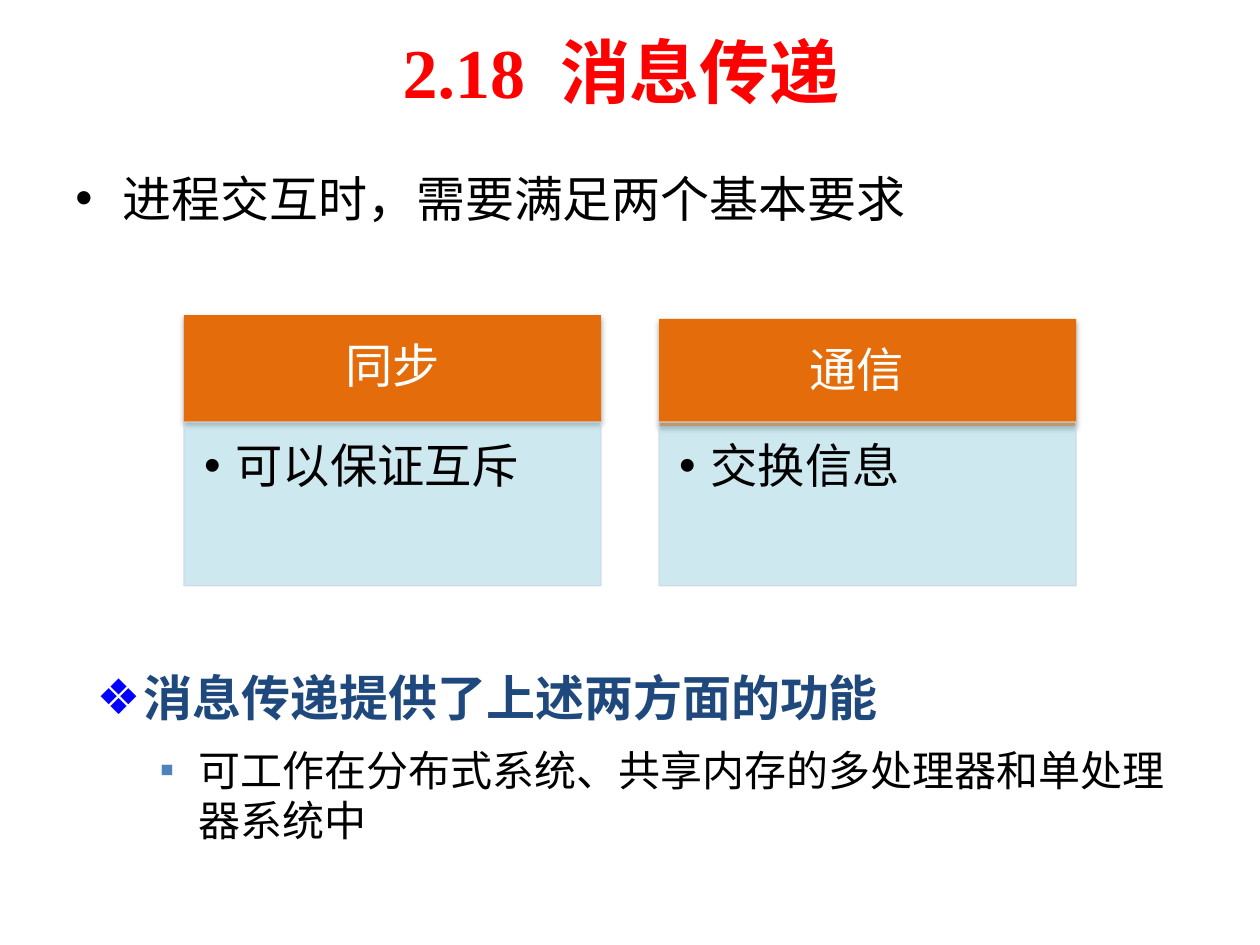
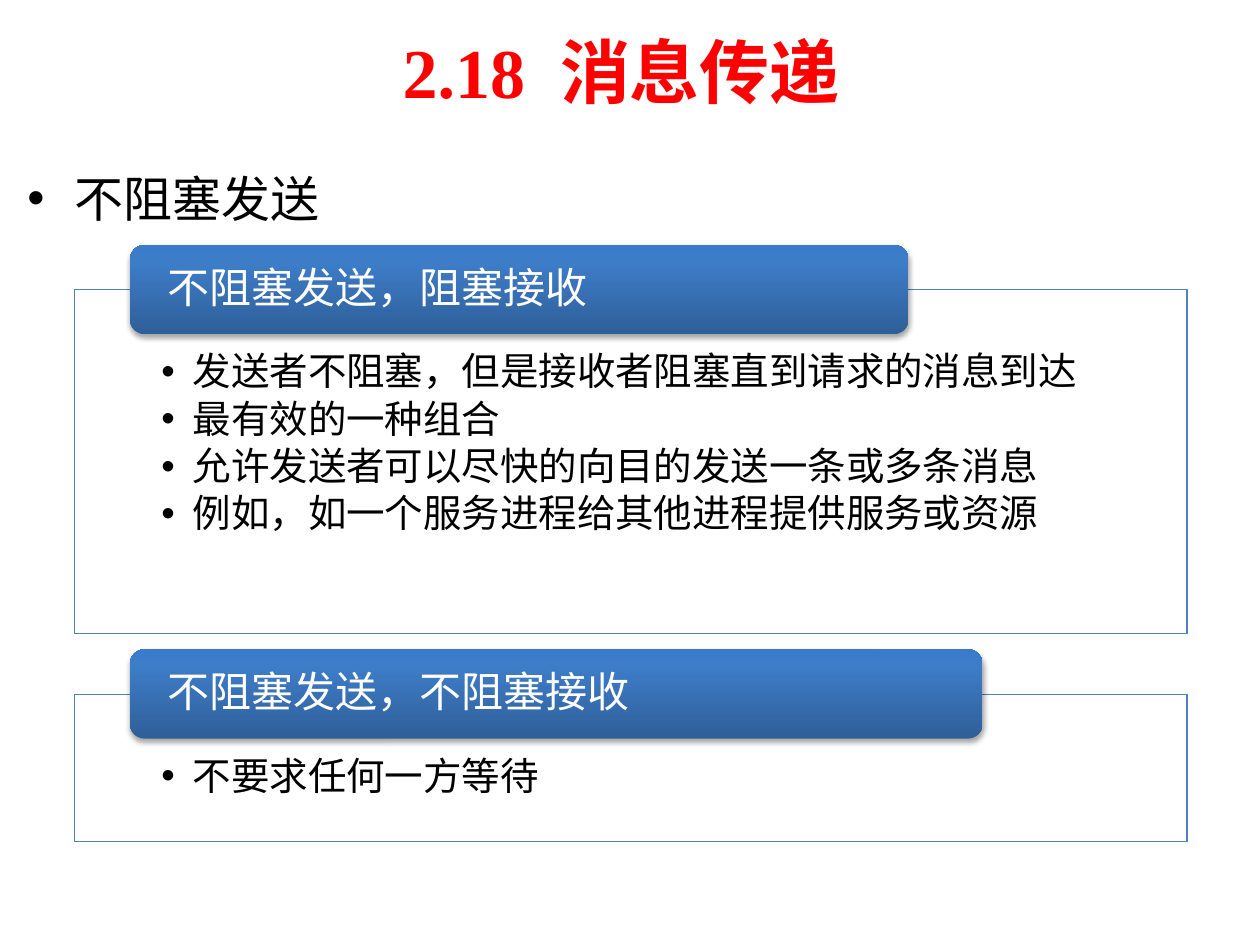
from dataclasses import dataclass
from lxml import etree
from pptx import Presentation
from pptx.dml.color import RGBColor
from pptx.enum import shapes, text
from pptx.oxml import ns
from pptx.util import Pt


@dataclass(frozen=True)
class Theme:
    """Colours, fonts and type sizes shared by the slides."""
    red: str = "FF0000"
    black: str = "000000"
    white: str = "FFFFFF"
    navy: str = "1F497D"
    mark: str = "0000FF"
    blue: str = "4F81BD"
    orange: str = "E46C0A"
    aqua: str = "93CDDD"
    edge: str = "D0D8E8"
    blend: tuple = ((0, "2F5F99"), (0.8, "3D7CC7"), (1, "3A7CCB"))
    serif: str = "Times New Roman"
    sans: str = "Calibri"
    plain: str = "Arial"
    title: int = 40
    lead: int = 28
    card: int = 27
    tab: int = 24
    item: int = 22


T = Theme()
TITLE = "2.18  消息传递"
RECT = shapes.MSO_SHAPE.RECTANGLE
ROUND = shapes.MSO_SHAPE.ROUNDED_RECTANGLE
MID = text.MSO_ANCHOR.MIDDLE
TOP = text.MSO_ANCHOR.TOP
LEFT = text.PP_ALIGN.LEFT
CENTER = text.PP_ALIGN.CENTER


def node(parent, tag, **attrs):
    """Append a DrawingML element and return it."""
    return etree.SubElement(parent, ns.qn("a:" + tag), attrs)


def fade(fill, share):
    """Make a solid fill partly transparent."""
    color = fill._xPr.find(".//" + ns.qn("a:srgbClr"))
    node(color, "alpha", val=str(share * 1000))


def shade(shape):
    """Give a shape the soft shadow that falls straight down."""
    shape.shadow.inherit = False
    effects = shape._element.spPr.find(ns.qn("a:effectLst"))
    drop = node(effects, "outerShdw", blurRad=str(Pt(3.1)), dist=str(Pt(1.8)),
                dir="5400000", rotWithShape="0")
    node(node(drop, "srgbClr", val=T.black), "alpha", val="35000")


def blend(shape):
    """Fill a shape with the upright blue gradient."""
    shape.fill.gradient()
    shape.fill.gradient_angle = 90
    stops = shape._element.spPr.find(".//" + ns.qn("a:gsLst"))
    stops.clear()
    for place, color in T.blend:
        stop = node(stops, "gs", pos=str(int(place * 100000)))
        node(stop, "srgbClr", val=color)


def form(slide, kind, box, fill=None, line=None):
    """Add a preset shape with a flat fill and a thin line."""
    shape = slide.shapes.add_shape(kind, *map(Pt, box))
    shape.shadow.inherit = False
    if fill:
        shape.fill.solid()
        shape.fill.fore_color.rgb = RGBColor.from_string(fill)
    if line:
        shape.line.color.rgb = RGBColor.from_string(line)
        shape.line.width = Pt(0.75)
    else:
        shape.line.fill.background()
    return shape


def frame(shape, inset=(7.2, 3.6, 7.2, 3.6), anchor=TOP):
    """Set the margins of a shape's text and return its frame."""
    body = shape.text_frame
    body.word_wrap = True
    body.vertical_anchor = anchor
    (body.margin_left, body.margin_top,
     body.margin_right, body.margin_bottom) = map(Pt, inset)
    return body


def label(slide, box, **opts):
    """Add a text box and return its frame."""
    return frame(slide.shapes.add_textbox(*map(Pt, box)), **opts)


def write(body, words, size, font, color, bold=False, align=LEFT, first=True,
          space=1, before=0, after=0, bullet=None, tint=None, indent=(0, 0)):
    """Write one paragraph, with a hanging bullet if one is named."""
    para = body.paragraphs[0] if first else body.add_paragraph()
    para.alignment = align
    para.line_spacing = space
    para.space_before = Pt(before)
    para.space_after = Pt(after)
    if bullet:
        props = para._p.get_or_add_pPr()
        left, hang = indent
        props.set("marL", str(Pt(left)))
        props.set("indent", str(Pt(-hang)))
        if tint:
            node(node(props, "buClr"), "srgbClr", val=tint)
        node(props, "buFont", typeface=T.plain)
        node(props, "buChar", char=bullet)
    run = para.add_run()
    run.text = words
    run.font.size = Pt(size)
    run.font.name = font
    run.font.bold = bold
    run.font.color.rgb = RGBColor.from_string(color)


def items(body, lines, size):
    """Write a tight list of bulleted lines."""
    for index, words in enumerate(lines):
        write(body, words, size, T.sans, T.black, first=index == 0, space=0.9,
              after=size * 0.15, bullet="•", indent=(18, 18))


def head(deck, lead, left):
    """Add a slide with the red title and its leading bullet."""
    slide = deck.slides.add_slide(deck.slide_layouts[6])
    body = label(slide, (31, 3.6, 648, 73.4), anchor=MID)
    write(body, TITLE, T.title, T.serif, T.red, bold=True, align=CENTER)
    body = label(slide, (left, 84.2, 648, 60.5))
    write(body, lead, T.lead, T.serif, T.black, space=1.25, bullet="•",
          indent=(27, 27))
    return slide


def card(slide, box, name, line, drop=0, shift=0):
    """Draw an orange heading over a pale panel with one bullet."""
    left, top, width, height = box
    band = 61.2
    cap = form(slide, RECT, (left, top + drop, width, band), T.orange)
    shade(cap)
    body = frame(cap, (15.1, 8.6, 15.1 + shift, 8.6), MID)
    write(body, name, T.card, T.sans, T.white, align=CENTER, space=0.9)
    panel = form(slide, RECT, (left, top + band, width, height - band),
                 T.aqua, T.edge)
    fade(panel.fill, 46)
    fade(panel.line.fill, 90)
    items(frame(panel, (11.5, 11.5, 15.1, 17.3)), [line], T.card)


def group(slide, box, wide, name, lines):
    """Draw an outlined list with a blue tab across its top edge."""
    left, top, width, height = box
    panel = form(slide, RECT, box, T.white, T.blue)
    items(frame(panel, (49.7, 36, 49.7, 12.2)), lines, T.item)
    tab = form(slide, ROUND, (left + 31.7, top - 25.7, wide, 51.1))
    blend(tab)
    shade(tab)
    body = frame(tab, (19.2, 2.5, 19.2, 2.5), MID)
    write(body, name, T.tab, T.sans, T.white, space=0.9)


def needs(deck):
    """Build the slide on the two basic requirements."""
    slide = head(deck, "进程交互时，需要满足两个基本要求", 36)
    body = label(slide, (48.2, 378, 648, 118))
    write(body, "消息传递提供了上述两方面的功能", T.lead, T.sans, T.navy,
          bold=True, bullet="❖", tint=T.mark, indent=(27, 27))
    write(body, "可工作在分布式系统、共享内存的多处理器和单处理器系统中", T.tab,
          T.plain, T.black, first=False, before=10, bullet="▪", tint=T.blue,
          indent=(58.3, 22.3))
    width, step = 238.3, 271.5
    cards = (("同步", "可以保证互斥", 0, 0), ("通信", "交换信息", 2.2, 12.6))
    for index, parts in enumerate(cards):
        card(slide, (105.1 + index * step, 180, width, 154.8), *parts)


def sends(deck):
    """Build the slide on sending without blocking."""
    slide = head(deck, "不阻塞发送", 8.6)
    groups = (
        (165.6, 196.6, 445, "不阻塞发送，阻塞接收",
         ["发送者不阻塞，但是接收者阻塞直到请求的消息到达",
          "最有效的一种组合",
          "允许发送者可以尽快的向目的发送一条或多条消息",
          "例如，如一个服务进程给其他进程提供服务或资源"]),
        (396.7, 84.2, 487.4, "不阻塞发送，不阻塞接收", ["不要求任何一方等待"]),
    )
    for top, height, *parts in groups:
        group(slide, (42.5, top, 635.8, height), *parts)


def main():
    """Build both slides and save the deck."""
    deck = Presentation()
    deck.slide_width, deck.slide_height = Pt(720), Pt(540)
    needs(deck)
    sends(deck)
    deck.save("out.pptx")


if __name__ == "__main__":
    main()
